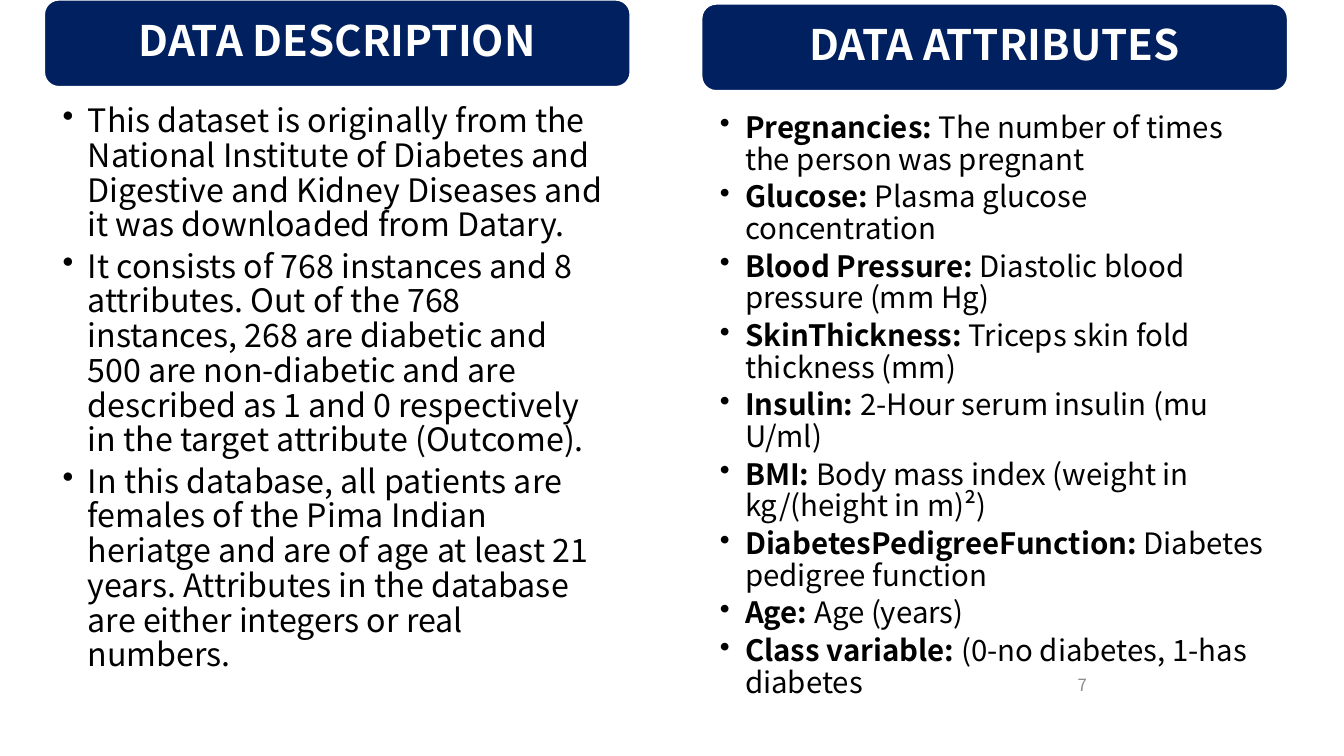
from pptx import Presentation
from pptx.dml.color import RGBColor
from pptx.enum.shapes import MSO_SHAPE as Shape
from pptx.enum.text import MSO_ANCHOR as Anchor, PP_ALIGN as Align
from pptx.oxml.ns import qn
from pptx.util import Inches, Pt
from lxml.etree import SubElement

FONT = "Noto Sans CJK SC"
NAVY, WHITE, BLACK, GREY = "002060", "FFFFFF", "000000", "8C8C8C"
PANEL_WIDTH = 5.81
LINE_SPACING = 0.9

DESCRIPTION = [
    ("", "This dataset is originally from the National Institute of Diabetes and "
         "Digestive and Kidney Diseases and it was downloaded from Datary."),
    ("", "It consists of 768 instances and 8 attributes. Out of the 768 instances, "
         "268 are diabetic and 500 are non-diabetic and are described as 1 and 0 "
         "respectively in the target attribute (Outcome)."),
    ("", "In this database, all patients are females of the Pima Indian heriatge and "
         "are of age at least 21 years. Attributes in the database are either "
         "integers or real numbers."),
]
ATTRIBUTES = [
    ("Pregnancies: ", "The number of times the person was pregnant"),
    ("Glucose: ", "Plasma glucose concentration"),
    ("Blood Pressure: ", "Diastolic blood pressure (mm Hg)"),
    ("SkinThickness: ", "Triceps skin fold thickness (mm)"),
    ("Insulin: ", "2-Hour serum insulin (mu U/ml)"),
    ("BMI: ", "Body mass index (weight in kg/(height in m)²)"),
    ("DiabetesPedigreeFunction: ", "Diabetes pedigree function"),
    ("Age: ", "Age (years)"),
    ("Class variable: ", "(0-no diabetes, 1-has diabetes"),
]


def color(value):
    return RGBColor.from_string(value)


def set_insets(frame, left, top, right, bottom):
    frame.word_wrap = True
    frame.margin_left, frame.margin_top = Inches(left), Inches(top)
    frame.margin_right, frame.margin_bottom = Inches(right), Inches(bottom)


def add_span(para, text, size, hue, bold=False):
    span = para.add_run()
    span.text = text
    font = span.font
    font.name, font.size, font.bold = FONT, Pt(size), bold
    font.color.rgb = color(hue)


def set_bullet(para):
    props = para._p.get_or_add_pPr()
    props.set("marL", str(Inches(0.25)))
    props.set("indent", str(Inches(-0.25)))
    SubElement(props, qn("a:buChar")).set("char", "•")


def add_heading(page, left, top, text):
    box = page.shapes.add_shape(Shape.ROUNDED_RECTANGLE, Inches(left), Inches(top),
                                Inches(PANEL_WIDTH), Inches(0.86))
    box.shadow.inherit = False
    box.fill.solid()
    box.fill.fore_color.rgb = color(NAVY)
    box.line.color.rgb = color(WHITE)
    box.line.width = Pt(1)
    frame = box.text_frame
    set_insets(frame, 0.12, 0.12, 0.12, 0.12)
    frame.vertical_anchor = Anchor.MIDDLE
    para = frame.paragraphs[0]
    para.alignment = Align.CENTER
    para.line_spacing = LINE_SPACING
    add_span(para, text, 30, WHITE, bold=True)


def add_bullets(page, left, top, items, size, right_inset):
    box = page.shapes.add_textbox(Inches(left), Inches(top),
                                  Inches(PANEL_WIDTH), Inches(6.11))
    frame = box.text_frame
    set_insets(frame, 0.18, 0.04, right_inset, 0.04)
    for index, (term, text) in enumerate(items):
        para = frame.add_paragraph() if index else frame.paragraphs[0]
        para.line_spacing = LINE_SPACING
        para.space_after = Pt(size * 0.2)
        set_bullet(para)
        if term:
            add_span(para, term, size, BLACK, bold=True)
        add_span(para, text, size, BLACK)


def add_page_number(page, number):
    box = page.shapes.add_textbox(Inches(10.28), Inches(6.59), Inches(0.6), Inches(0.43))
    set_insets(box.text_frame, 0.1, 0.1, 0.1, 0.1)
    para = box.text_frame.paragraphs[0]
    para.alignment = Align.RIGHT
    add_span(para, number, 12, GREY)


def main():
    deck = Presentation()
    deck.slide_width, deck.slide_height = Inches(13.33), Inches(7.5)
    page = deck.slides.add_slide(deck.slide_layouts[6])

    add_page_number(page, "7")

    # Left panel: where the data comes from
    add_heading(page, 0.44, 0, "DATA DESCRIPTION")
    add_bullets(page, 0.44, 1, DESCRIPTION, 23, 0.23)

    # Right panel: what each column holds
    add_heading(page, 6.96, 0.04, "DATA ATTRIBUTES")
    add_bullets(page, 6.96, 1.08, ATTRIBUTES, 21, 0.21)

    deck.save("out.pptx")


if __name__ == "__main__":
    main()
